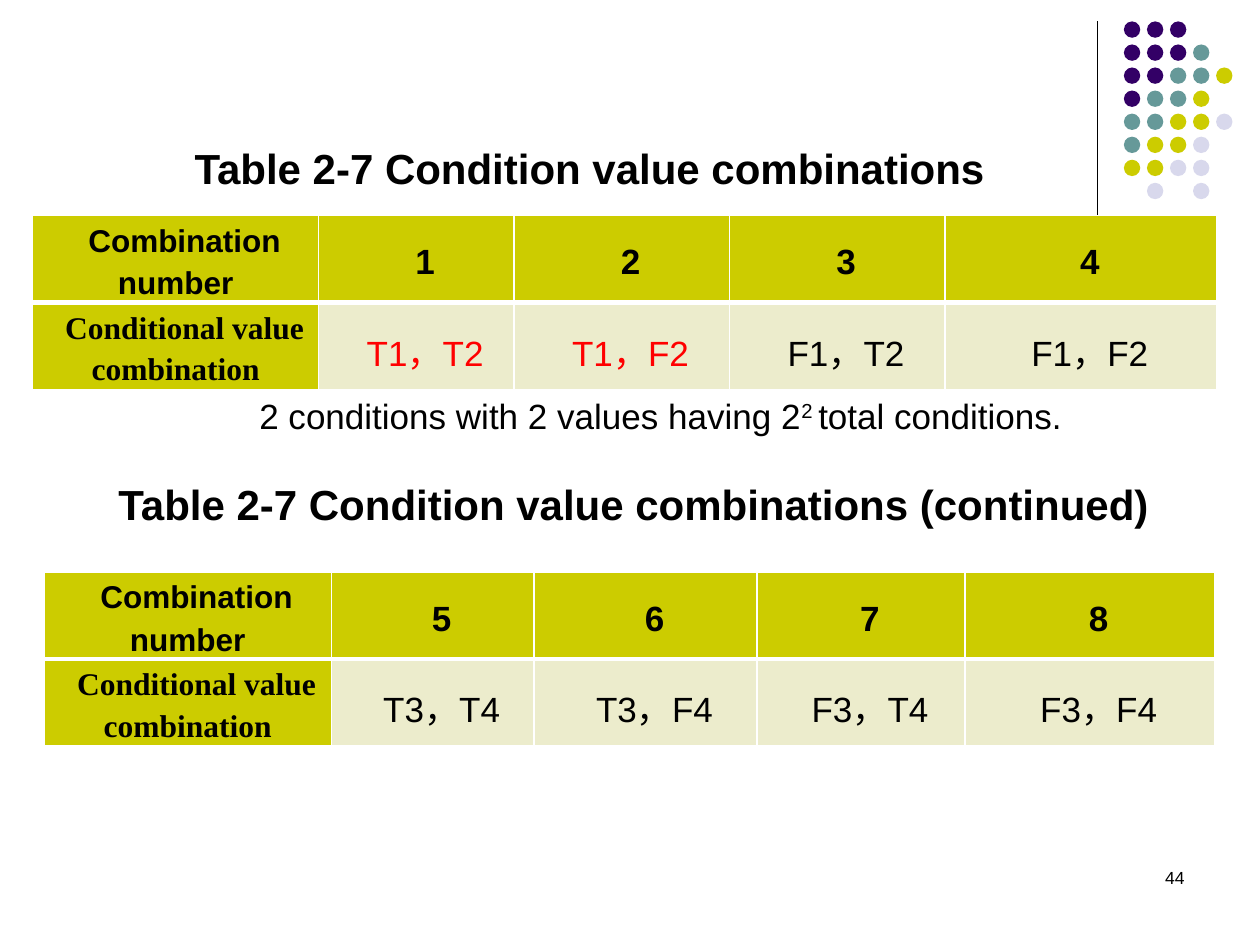
"""Build a slide with two condition value combination tables."""
from lxml import etree
from pptx import Presentation
from pptx import util as u
from pptx.dml.color import RGBColor
from pptx.enum import shapes, text
from pptx.oxml import ns

BLACK, RED, WHITE = "000000", "FF0000", "FFFFFF"
OLIVE, CREAM = "CCCC00", "ECECCC"
DOT_COLORS = {"P": "330066", "T": "669999", "O": OLIVE, "L": "D8D8EC"}
DOT_ROWS = ["PPP", "PPPT", "PPTTO", "PTTO", "TTOOL", "TOOL", "OOLL", " L L"]
DOT_LEFT, DOT_TOP, DOT_STEP, DOT_SIZE = 8.92, 0.17, 0.183, 0.13

TITLE = "Table 2-7 Condition value combinations"
CONTINUED = "Table 2-7 Condition value combinations (continued)"
NOTE = [("2 conditions with 2 values having 2", False), ("2 ", True),
        ("total conditions.", False)]
ROW_LABELS = ["Combination number", "Conditional value combination"]
ROW_HEIGHT = 0.69
TABLES = [
    {"at": (0.26, 1.71), "widths": [2.27, 1.55, 1.71, 1.71, 2.16],
     "numbers": ["1", "2", "3", "4"],
     "values": ["T1，T2", "T1，F2", "F1，T2", "F1，F2"],
     "red": {"T1，T2", "T1，F2"}},
    {"at": (0.35, 4.54), "widths": [2.28, 1.61, 1.77, 1.65, 1.98],
     "numbers": ["5", "6", "7", "8"],
     "values": ["T3，T4", "T3，F4", "F3，T4", "F3，F4"], "red": set()},
]


def rgb(value):
    return RGBColor.from_string(value)


def style(font, size, bold=False, color=BLACK, name="Arial"):
    font.name, font.size, font.bold = name, u.Pt(size), bold
    font.color.rgb = rgb(color)


def place(box, left, top, width, height):
    box.left, box.top = u.Inches(left), u.Inches(top)
    box.width, box.height = u.Inches(width), u.Inches(height)


def fill_text(box, words, size, align, bold=False):
    frame = box.text_frame
    frame.word_wrap = True
    frame.vertical_anchor = text.MSO_ANCHOR.TOP
    frame.text = words
    para = frame.paragraphs[0]
    para.alignment = align
    style(para.font, size, bold)


def add_text(page, at, words, size, align, bold=False):
    box = page.shapes.add_textbox(*map(u.Inches, at))
    fill_text(box, words, size, align, bold)


def add_note(page):
    box = page.shapes.add_textbox(*map(u.Inches, (1.96, 3.08, 6.64, 0.44)))
    box.text_frame.word_wrap = False
    para = box.text_frame.paragraphs[0]
    style(para.font, 20)
    for words, raised in NOTE:
        span = para.add_run()
        span.text = words
        if raised:
            span.font._element.set("baseline", "30000")


def add_dots(page):
    for row, pattern in enumerate(DOT_ROWS):
        for column, key in enumerate(pattern):
            if key == " ":
                continue
            dot = page.shapes.add_shape(
                shapes.MSO_SHAPE.OVAL,
                u.Inches(DOT_LEFT + column * DOT_STEP),
                u.Inches(DOT_TOP + row * DOT_STEP),
                u.Inches(DOT_SIZE), u.Inches(DOT_SIZE))
            dot.shadow.inherit = False
            dot.fill.solid()
            dot.fill.fore_color.rgb = rgb(DOT_COLORS[key])
            dot.line.fill.background()


def add_rule(page):
    rule = page.shapes.add_connector(
        shapes.MSO_CONNECTOR.STRAIGHT,
        *map(u.Inches, (8.71, 0.17, 8.71, 1.83)))
    rule.line.color.rgb = rgb(BLACK)
    rule.line.width = u.Pt(0.75)
    etree.SubElement(rule._element.spPr, ns.qn("a:effectLst"))


def set_borders(cell, widths):
    properties = cell._tc.get_or_add_tcPr()
    for side, width in zip("LRTB", widths):
        border = etree.SubElement(properties, ns.qn(f"a:ln{side}"), w=str(u.Pt(width)))
        solid = etree.SubElement(border, ns.qn("a:solidFill"))
        etree.SubElement(solid, ns.qn("a:srgbClr"), val=WHITE)


def fill_cell(cell, words, row, column, red):
    is_label, is_header = column == 0, row == 0
    set_borders(cell, (1, 1, 1, 3) if is_header else (1, 1, 3, 1))
    cell.fill.solid()
    cell.fill.fore_color.rgb = rgb(OLIVE if is_label or is_header else CREAM)
    cell.vertical_anchor = text.MSO_ANCHOR.MIDDLE
    cell.margin_left = cell.margin_right = u.Inches(0.07)
    cell.margin_top = cell.margin_bottom = 0
    cell.text = words
    para = cell.text_frame.paragraphs[0]
    para.alignment = text.PP_ALIGN.CENTER
    para.line_spacing = 1.2
    para._p.get_or_add_pPr().set("indent", str(u.Inches(0.14)))
    style(para.font, 18 if is_label else 20, is_label or is_header,
          RED if words in red else BLACK,
          "Times New Roman" if is_label and not is_header else "Arial")


def add_combinations(page, data):
    rows = [[label, *cells] for label, cells
            in zip(ROW_LABELS, (data["numbers"], data["values"]))]
    size = sum(data["widths"]), ROW_HEIGHT * len(rows)
    table = page.shapes.add_table(
        len(rows), len(data["widths"]), *map(u.Inches, data["at"] + size)).table
    for column, width in zip(table.columns, data["widths"]):
        column.width = u.Inches(width)
    for row, line in enumerate(rows):
        for column, words in enumerate(line):
            fill_cell(table.cell(row, column), words, row, column, data["red"])


def main():
    deck = Presentation()
    deck.slide_width, deck.slide_height = u.Inches(10), u.Inches(7.5)
    page = deck.slides.add_slide(deck.slide_layouts[5])
    center = text.PP_ALIGN.CENTER
    title = page.shapes.title
    place(title, 0.78, 1.08, 7.8, 0.5)
    fill_text(title, TITLE, 24, center, bold=True)
    add_rule(page)
    add_dots(page)
    for data in TABLES:
        add_combinations(page, data)
    add_text(page, (0.28, 3.75, 9.5, 0.5), CONTINUED, 24, center, bold=True)
    add_text(page, (7.17, 6.83, 2.33, 0.5), "44", 10, text.PP_ALIGN.RIGHT)
    add_note(page)
    deck.save("out.pptx")


if __name__ == "__main__":
    main()
